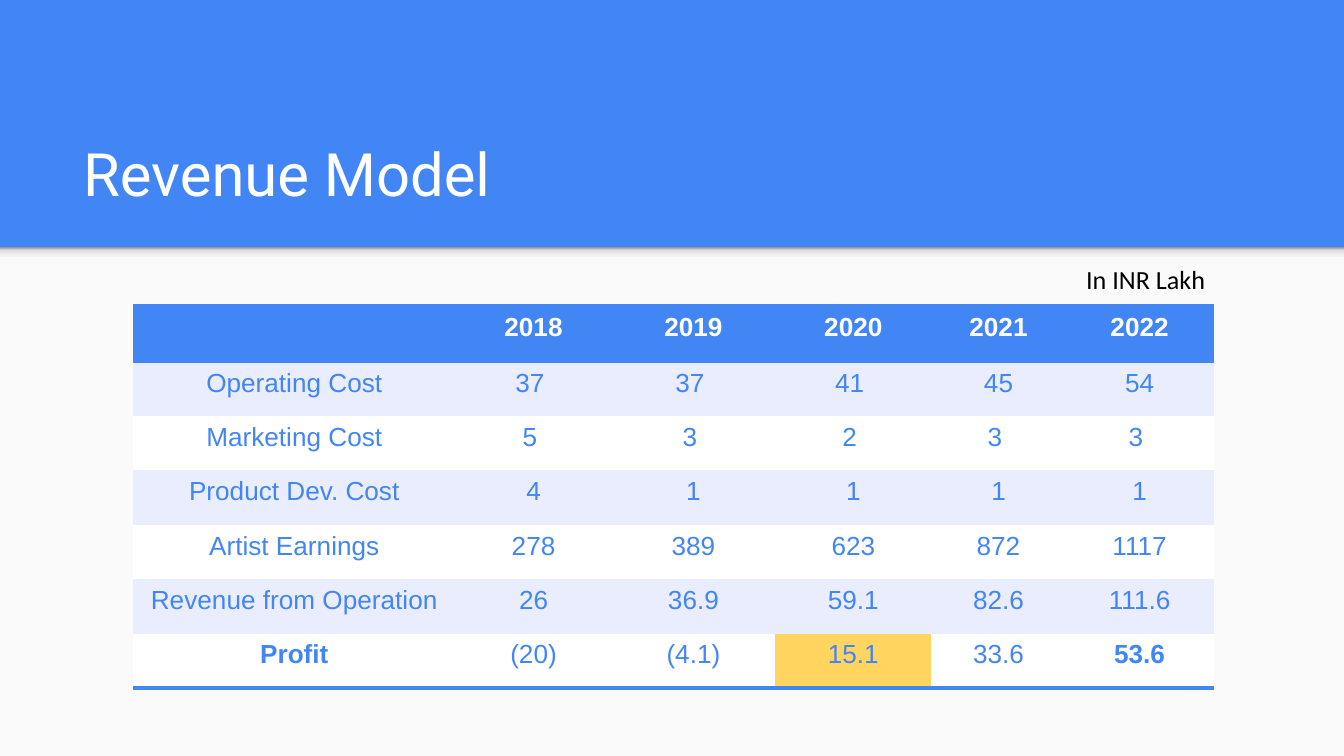
from lxml.etree import SubElement
from pptx import Presentation
from pptx.dml.color import RGBColor
from pptx.enum.shapes import MSO_SHAPE
from pptx.enum.text import MSO_ANCHOR, MSO_AUTO_SIZE, PP_ALIGN
from pptx.oxml import parse_xml
from pptx.oxml.ns import nsdecls, qn
from pptx.util import Pt

PX = 4572  # EMU in one px, 200 px to the inch
BLUE, WHITE, PALE, GOLD = "4285F4", "FFFFFF", "E9EDFD", "FFD55F"
PLAIN_TABLE = "{2D5ABB26-0587-4C30-8999-92F81FD0307C}"

ROWS = [
    ["", "2018", "2019", "2020", "2021", "2022"],
    ["Operating Cost", "37 ", "37 ", "41 ", "45", "54"],
    ["Marketing Cost", "5 ", "3 ", "2 ", "3 ", "3 "],
    ["Product Dev. Cost", "4", "1", "1", "1", "1"],
    ["Artist Earnings", "278", "389", "623", "872", "1117"],
    ["Revenue from Operation", "26", "36.9", "59.1", "82.6", "111.6"],
    ["Profit", "(20)", "(4.1)", "15.1", "33.6", "53.6"],
]
COL_WIDTHS = [480, 232, 244, 232, 200, 220]
HEADER_HEIGHT, ROW_HEIGHT = 83, 81
BOLD_CELLS = {"Profit", "53.6"}
SHADE = [(0, "F9F9F9"), (36, "F9F9F9"), (80, "DEDEDE"), (100, "999999")]


def rgb(color):
    return RGBColor.from_string(color)


def emu(*lengths):
    return [n * PX for n in lengths]


class Deck:
    def __init__(self, width, height, background):
        self.prs = Presentation()
        self.prs.slide_width, self.prs.slide_height = emu(width, height)
        self.s = self.prs.slides.add_slide(self.prs.slide_layouts[6])
        fill = self.s.background.fill
        fill.solid()
        fill.fore_color.rgb = rgb(background)

    def add_run(self, tf, text, color, align=PP_ALIGN.CENTER, **style):
        p = tf.paragraphs[0]
        p.alignment = align
        r = p.add_run()
        r.text = text
        r.font.color.rgb = rgb(color)
        for name, value in style.items():
            setattr(r.font, name, value)

    def rect(self, box, color):
        sp = self.s.shapes.add_shape(MSO_SHAPE.RECTANGLE, *emu(*box))
        sp.shadow.inherit = False
        sp.line.fill.background()
        sp.fill.solid()
        sp.fill.fore_color.rgb = rgb(color)
        return sp

    def gradient(self, box, stops):
        """Draw a rectangle whose stops run from bottom to top."""
        sp = self.rect(box, stops[0][1])
        sp.fill.gradient()
        sp.fill.gradient_angle = 90
        stop_list = sp._element.spPr.find(".//" + qn("a:gsLst"))
        stop_list.clear()
        for percent, color in stops:
            stop = SubElement(stop_list, qn("a:gs"), pos=str(percent * 1000))
            SubElement(stop, qn("a:srgbClr"), val=color)

    def text(self, box, text, color, frame, **style):
        tf = self.s.shapes.add_textbox(*emu(*box)).text_frame
        for name, value in frame.items():
            setattr(tf, name, value)
        self.add_run(tf, text, color, **style)

    def border(self, cell, sides):
        """Line the given sides, listed in the order T, B."""
        tc_pr = cell._tc.get_or_add_tcPr()
        for i, side in enumerate(sides):
            tc_pr.insert(i, parse_xml(
                f'<a:ln{side} {nsdecls("a")} w="{Pt(2)}"><a:solidFill>'
                f'<a:srgbClr val="{BLUE}"/></a:solidFill></a:ln{side}>'))

    def table(self, left, top, rows, widths, heights):
        box = emu(left, top, sum(widths), sum(heights))
        frame = self.s.shapes.add_table(len(rows), len(widths), *box)
        table = frame.table
        table.first_row = table.horz_banding = False
        table._tbl.tblPr.find(qn("a:tableStyleId")).text = PLAIN_TABLE
        for column, width in zip(table.columns, emu(*widths)):
            column.width = width
        for row, height in zip(table.rows, emu(*heights)):
            row.height = height
        for i, values in enumerate(rows):
            for cell, value in zip(table.rows[i].cells, values):
                self.cell(cell, value, i, i == len(rows) - 1)

    def cell(self, cell, value, row, last):
        header = row == 0
        fill = BLUE if header else PALE if row % 2 else WHITE
        cell.fill.solid()
        cell.fill.fore_color.rgb = rgb(GOLD if value == "15.1" else fill)
        self.border(cell, "TB" if header else "B" if last else "")
        if value:
            self.add_run(cell.text_frame, value, WHITE if header else BLUE,
                         name="Arial", size=Pt(14),
                         bold=header or value in BOLD_CELLS)


def main():
    deck = Deck(2000, 1125, BLUE)
    deck.rect((0, 368, 2000, 757), "FAFAFA")
    deck.gradient((0, 368, 2000, 24), SHADE)

    margins = dict.fromkeys(
        ("margin_left", "margin_top", "margin_right", "margin_bottom"), 20 * PX)
    deck.text((104, 162, 1798, 168), "Revenue Model", WHITE,
              dict(margins, word_wrap=True, vertical_anchor=MSO_ANCHOR.BOTTOM),
              align=PP_ALIGN.LEFT, name="Roboto", size=Pt(32))

    heights = [HEADER_HEIGHT] + [ROW_HEIGHT] * (len(ROWS) - 1)
    deck.table(198, 455, ROWS, COL_WIDTHS, heights)

    deck.text((1596, 382, 218, 68), "In INR Lakh", "000000",
              dict(word_wrap=False, auto_size=MSO_AUTO_SIZE.SHAPE_TO_FIT_TEXT),
              name="Calibri", size=Pt(14))
    deck.prs.save("out.pptx")


if __name__ == "__main__":
    main()
